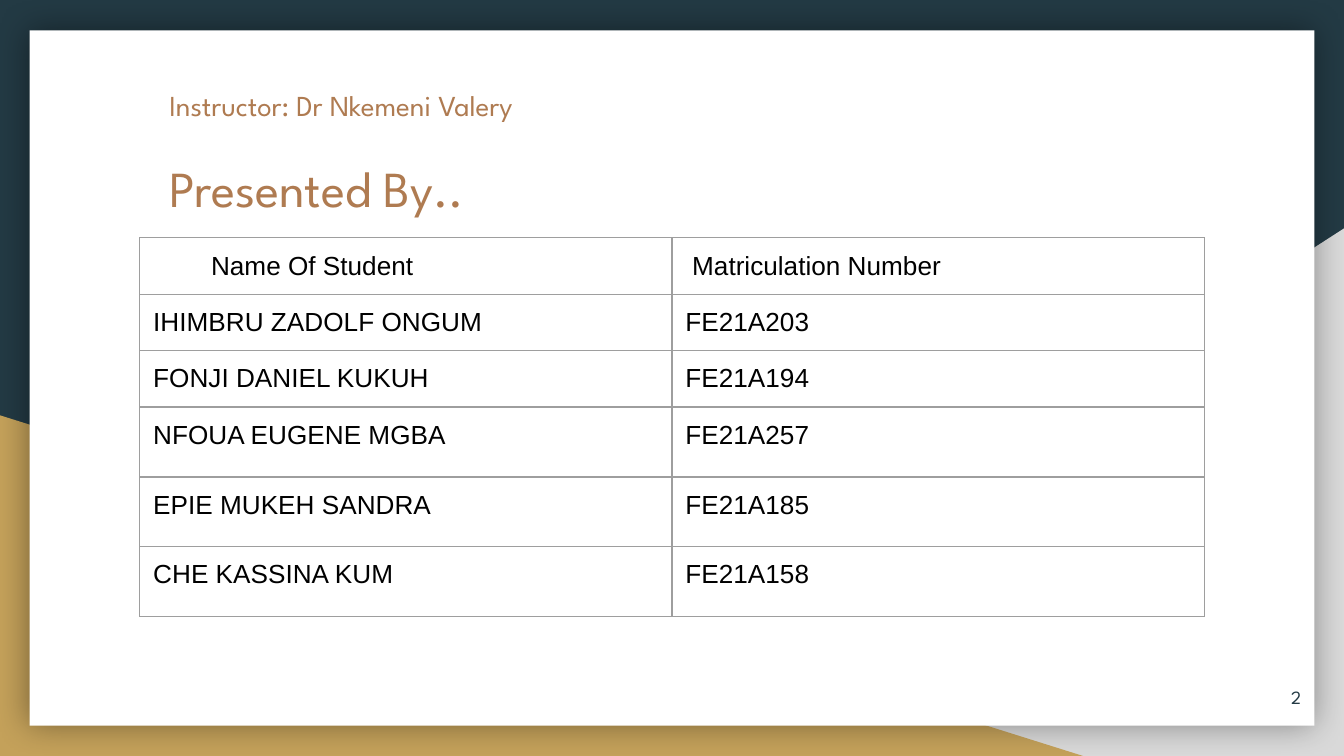
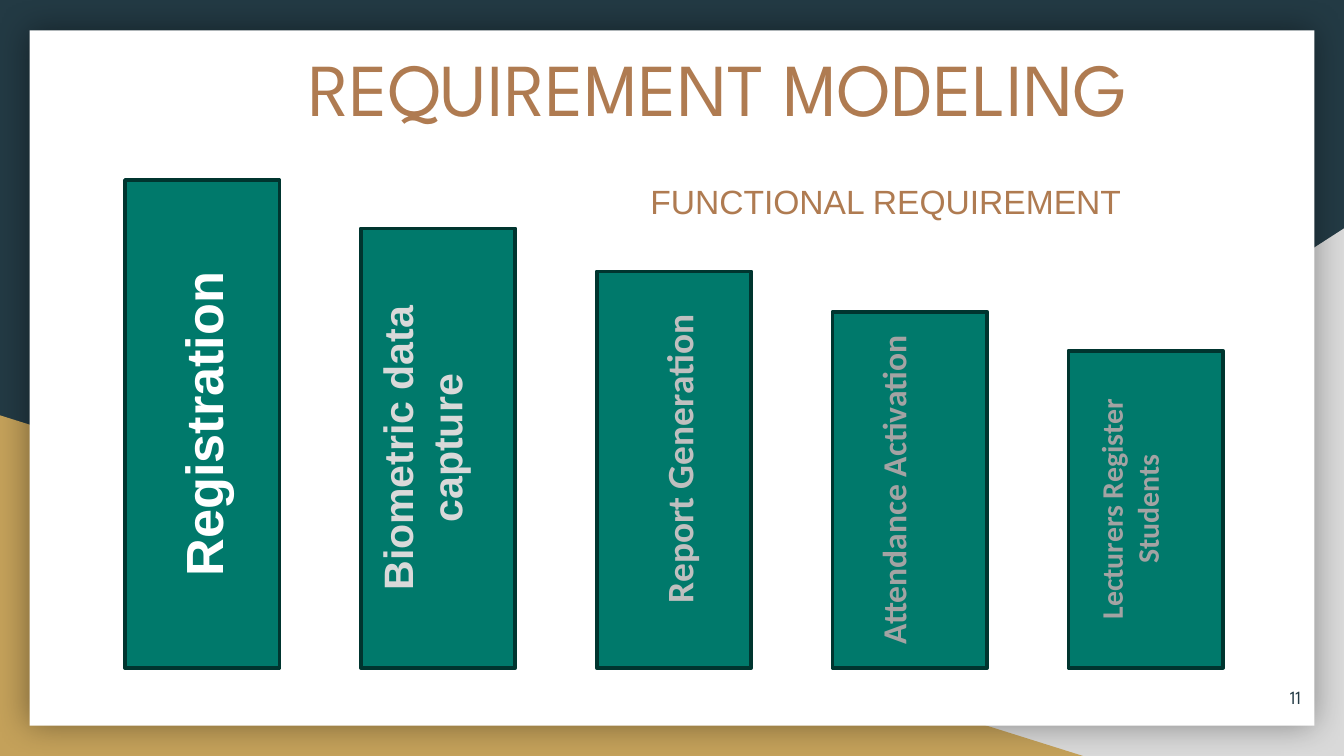
from lxml import etree
from pptx import Presentation
from pptx import util as u
from pptx.dml.color import RGBColor
from pptx.enum import shapes, text
from pptx.oxml.ns import qn

COLS, ROWS = 100, 56.25
UNIT = u.Inches(10) / COLS
NAVY, GOLD, GREY, COPPER = "233A44", "C4A15A", "D9D9D9", "AF7B51"
GREEN, DARK_GREEN, RULE = "00796B", "00352F", "9E9E9E"
HEAD_FONT = "League Spartan"

STUDENTS = [
    ("Name Of Student", "Matriculation Number"),
    ("IHIMBRU ZADOLF ONGUM", "FE21A203"),
    ("FONJI DANIEL KUKUH", "FE21A194"),
    ("NFOUA EUGENE MGBA", "FE21A257"),
    ("EPIE MUKEH SANDRA", "FE21A185"),
    ("CHE KASSINA KUM", "FE21A158"),
]
ROW_HEIGHTS = [4.2] * 3 + [5.2] * 3
HEADER_INSETS = (5.3, 1.5)

REQUIREMENTS = [
    ("Registration", 13.4, 28, "Arial", "FFFFFF", 1),
    ("Biometric data capture", 17, 22, "Arial", "D9D9D9", 3),
    ("Report Generation", 20.2, 20, "Calibri", "BFBFBF", 1),
    ("Attendance Activation", 23.2, 18, "Calibri", "A3A3A3", 3),
    ("Lecturers Register Students", 26.1, 16, "Calibri", "A3A3A3", 3),
]


def rgb(value):
    return RGBColor.from_string(value)


def grid(n):
    return u.Emu(round(n * UNIT))


def box(*cells):
    return [grid(n) for n in cells]


def sub(parent, tag, **attrs):
    return etree.SubElement(parent, qn(tag), attrs)


def style(p, size, font, color, bold=False, align=None):
    p.alignment = align
    for r in p.runs:
        r.font.size = u.Pt(size)
        r.font.name = font
        r.font.bold = bold
        r.font.color.rgb = rgb(color)


def frame(tf, anchor, x=1, y=1):
    tf.word_wrap = True
    tf.auto_size = text.MSO_AUTO_SIZE.NONE
    tf.vertical_anchor = anchor
    tf.margin_left = tf.margin_right = grid(x)
    tf.margin_top = tf.margin_bottom = grid(y)


def add_block(s, kind, place, fill, line=None):
    sp = s.shapes.add_shape(kind, *box(*place))
    sp.shadow.inherit = False
    sp.fill.solid()
    sp.fill.fore_color.rgb = rgb(fill)
    if line:
        sp.line.color.rgb = rgb(line)
        sp.line.width = u.Pt(2)
    else:
        sp.line.fill.background()
    return sp


def add_label(s, place, content, size, font, color, align=None,
              anchor=text.MSO_ANCHOR.TOP, inset_y=0.5):
    sp = s.shapes.add_textbox(*box(*place))
    tf = sp.text_frame
    tf.text = content
    frame(tf, anchor, y=inset_y)
    style(tf.paragraphs[0], size, font, color, align=align)


def build_master(prs, s):
    master = prs.slide_master
    master.background.fill.solid()
    master.background.fill.fore_color.rgb = rgb(NAVY)
    triangle = shapes.MSO_SHAPE.RIGHT_TRIANGLE
    right = add_block(s, triangle, (39.2, 17, 60.8, ROWS - 17), GREY)
    right.element.spPr.find(qn("a:xfrm")).set("flipH", "1")
    left = add_block(s, triangle, (0, 30.9, 80.6, ROWS - 30.9), GOLD)
    card = add_block(s, shapes.MSO_SHAPE.RECTANGLE, (2.2, 2.25, 95.6, 51.75), "FFFFFF")
    shadow = sub(card.element.spPr.find(qn("a:effectLst")), "a:outerShdw",
                 blurRad=str(u.Pt(18)), dist="0", dir="0", algn="ctr", rotWithShape="0")
    sub(sub(shadow, "a:srgbClr", val="000000"), "a:alpha", val="40000")
    for i, sp in enumerate((right, left, card)):
        sp.element.find(".//" + qn("p:cNvPr")).set("id", str(100 + i))
        master.shapes.element.insert(2 + i, sp.element)


def set_title(s, place, lines, sizes, align=None):
    sp = s.shapes.title
    sp.left, sp.top, sp.width, sp.height = box(*place)
    tf = sp.text_frame
    tf.text = "\n".join(lines)
    frame(tf, text.MSO_ANCHOR.TOP)
    for p, size in zip(tf.paragraphs, sizes):
        style(p, size, HEAD_FONT, COPPER, align=align)
    return tf


def add_page_number(s, number):
    add_label(s, (91.8, 49.7, 6, 4.3), str(number), 10, HEAD_FONT, NAVY,
              text.PP_ALIGN.RIGHT, text.MSO_ANCHOR.MIDDLE, 1)


def add_borders(cell):
    tcPr = cell._tc.get_or_add_tcPr()
    for i, side in enumerate("LRTB"):
        ln = sub(tcPr, f"a:ln{side}", w=str(u.Pt(0.75)))
        sub(sub(ln, "a:solidFill"), "a:srgbClr", val=RULE)
        tcPr.insert(i, ln)


def add_student_table(s):
    place = box(10.4, 17.7, 79.2, sum(ROW_HEIGHTS))
    table = s.shapes.add_table(len(STUDENTS), 2, *place).table
    table.first_row = table.horz_banding = False
    for i, (row, height) in enumerate(zip(STUDENTS, ROW_HEIGHTS)):
        table.rows[i].height = grid(height)
        for j, content in enumerate(row):
            cell = table.cell(i, j)
            cell.text = content
            cell.fill.background()
            cell.margin_left = grid(HEADER_INSETS[j] if i == 0 else 1)
            cell.margin_right = cell.margin_top = cell.margin_bottom = grid(1)
            style(cell.text_frame.paragraphs[0], 14, "Arial", "000000")
            add_borders(cell)


def add_requirement_bars(s):
    first, step, width, bottom = 9.3, 17.55, 11.5, 49.7
    for i, (name, top, size, font, color, inset) in enumerate(REQUIREMENTS):
        sp = add_block(s, shapes.MSO_SHAPE.RECTANGLE,
                       (first + i * step, top, width, bottom - top), GREEN, DARK_GREEN)
        tf = sp.text_frame
        tf.text = name
        frame(tf, text.MSO_ANCHOR.MIDDLE, y=0.5)
        tf.margin_right = grid(inset)
        sp.element.find(".//" + qn("a:bodyPr")).set("vert", "vert270")
        p = tf.paragraphs[0]
        style(p, size, font, color, True, text.PP_ALIGN.CENTER)
        if name == "Report Generation":
            p.line_spacing = 1.2
            p._p.get_or_add_pPr().set("marL", str(grid(1.6)))


def build_presenters(s):
    tf = set_title(s, (3.3, 3.9, 82.1, 10.4),
                   ["Instructor: Dr Nkemeni Valery", "Presented By.."], [15.5, 27],
                   text.PP_ALIGN.LEFT)
    tf.margin_top = grid(2.6)
    instructor, heading = tf.paragraphs
    instructor._p.get_or_add_pPr().set("marL", str(grid(8.3)))
    heading.space_before = u.Pt(19)
    add_student_table(s)
    add_page_number(s, 2)


def build_requirements(s):
    set_title(s, (15.8, 2.1, 75.2, 8.4), ["REQUIREMENT MODELING"], [40],
              text.PP_ALIGN.CENTER)
    add_page_number(s, 11)
    add_requirement_bars(s)
    add_label(s, (47.4, 13, 39.2, 4), "FUNCTIONAL REQUIREMENT", 18, "Arial", COPPER)


def main():
    prs = Presentation()
    prs.slide_width, prs.slide_height = box(COLS, ROWS)
    title_only = prs.slide_layouts[5]
    presenters, requirements = [prs.slides.add_slide(title_only) for _ in range(2)]
    build_master(prs, presenters)
    build_presenters(presenters)
    build_requirements(requirements)
    prs.save("out.pptx")


if __name__ == "__main__":
    main()
